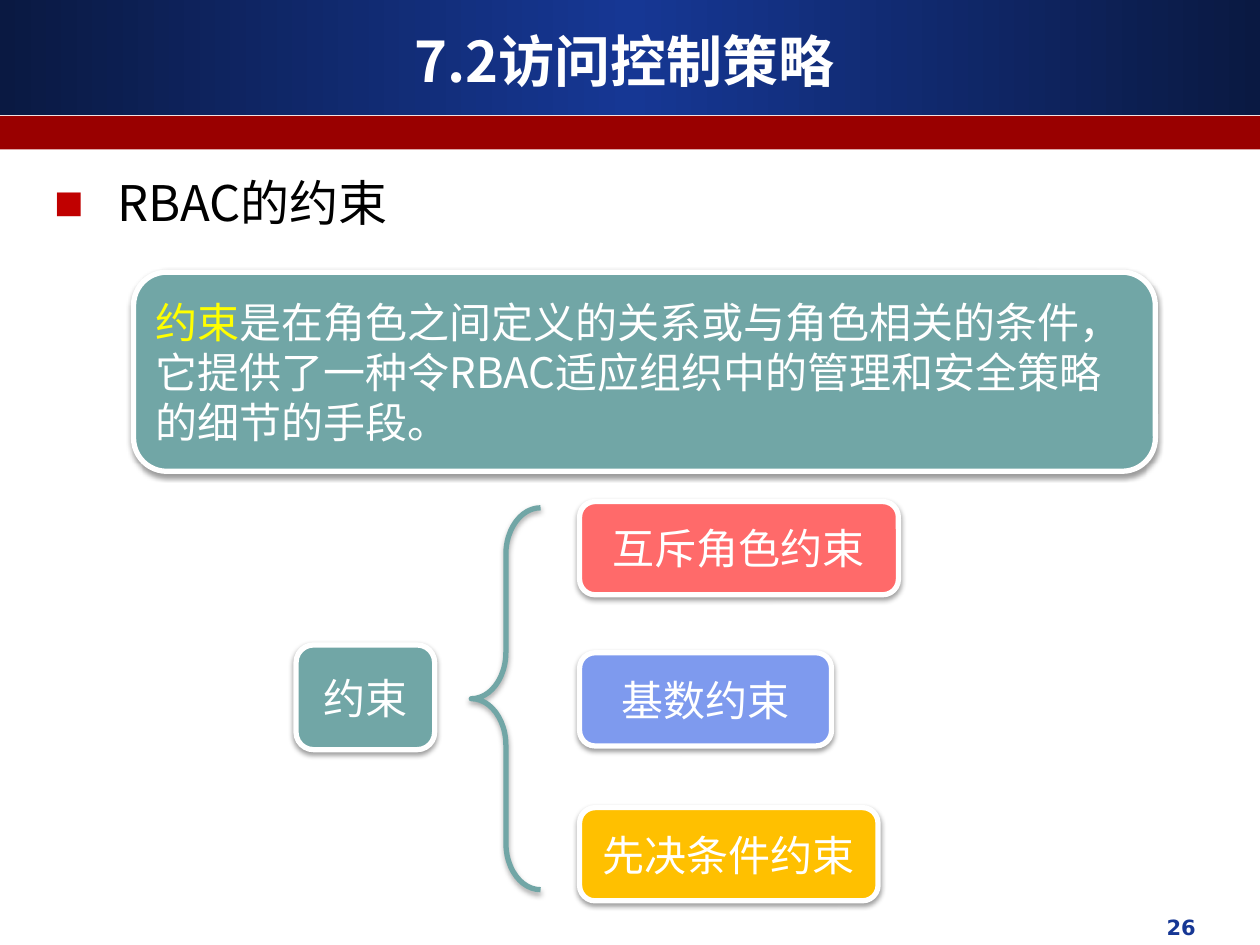
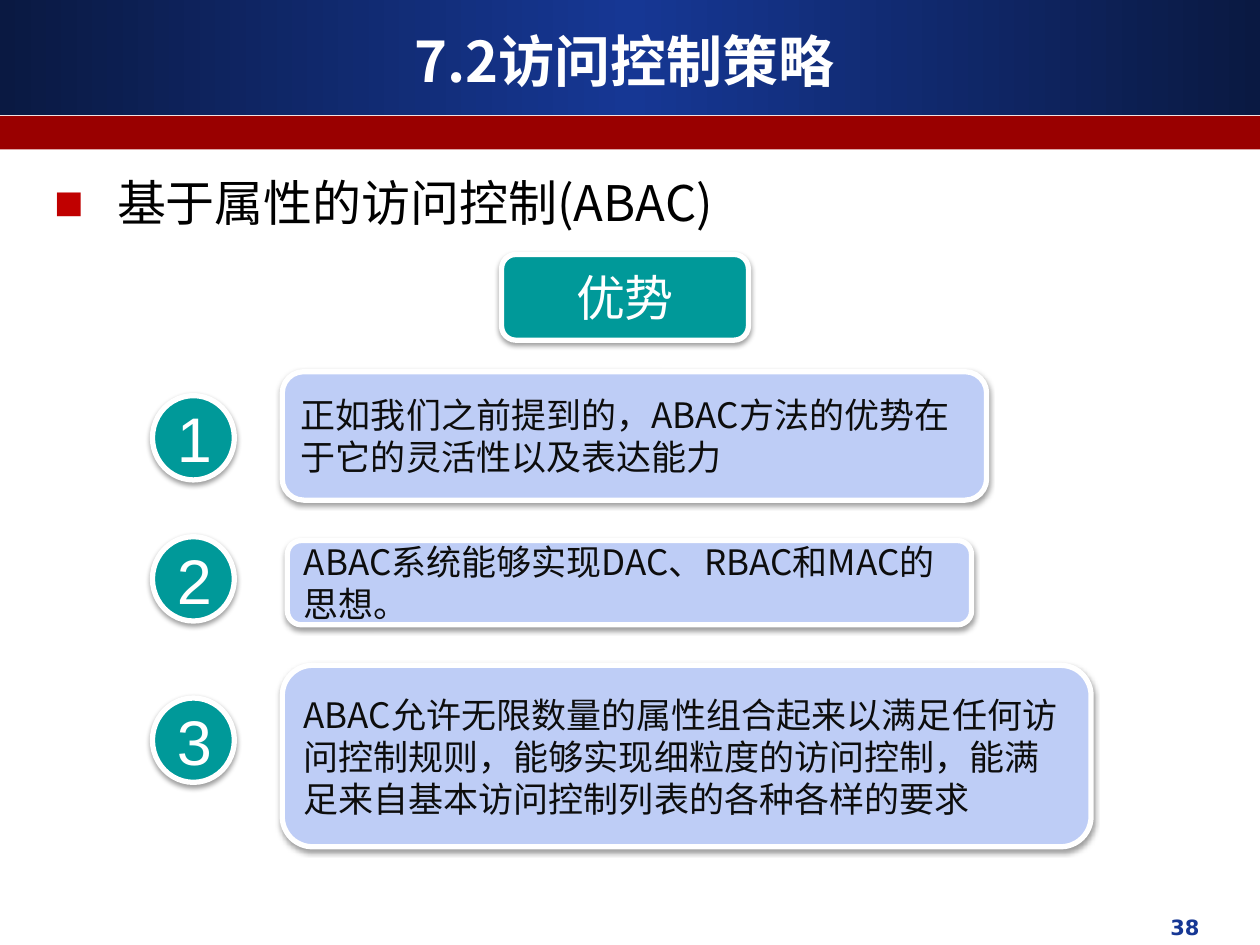
from copy import deepcopy
from dataclasses import dataclass

from lxml.etree import SubElement
from pptx import Presentation
from pptx.dml.color import RGBColor
from pptx.enum.shapes import MSO_SHAPE as Shape
from pptx.enum.text import MSO_ANCHOR as Anchor, PP_ALIGN as Align
from pptx.oxml.ns import qn
from pptx.util import Pt


@dataclass(frozen=True)
class Theme:
    cjk: str = "Noto Sans CJK SC"
    digits: str = "Arial"
    footer: str = "DejaVu Sans"
    navy: str = "163794"
    navy_edge: str = "0A1942"
    band: str = "990000"
    bullet: str = "C00000"
    white: str = "FFFFFF"
    black: str = "000000"
    ink: str = "0D0D0D"
    yellow: str = "FFFF00"
    sage: str = "71A6A6"
    coral: str = "FF6A6A"
    periwinkle: str = "7E9AEE"
    amber: str = "FFC000"
    teal: str = "009999"
    pale: str = "BECDF6"
    title_size: int = 32
    heading_size: int = 28
    box_size: int = 24
    point_size: int = 20
    number_size: int = 36
    page_size: int = 12
    outline: int = 3
    leading: float = 1.2
    heading_leading: int = 36


T = Theme()
SLIDE_W, SLIDE_H = 720, 540

TITLE = "7.2访问控制策略"

CONSTRAINTS = {
    "heading": "RBAC的约束",
    "page": ("26", 462.2),
    "term": "约束",
    "definition": "是在角色之间定义的关系或与角色相关的条件，"
                  "它提供了一种令RBAC适应组织中的管理和安全策略的细节的手段。",
    # text, fill, top, width
    "kinds": [
        ("互斥角色约束", T.coral, 286.6, 182.2),
        ("基数约束", T.periwinkle, 373, 144),
        ("先决条件约束", T.amber, 461.5, 170.6),
    ],
}

ADVANTAGES = {
    "heading": "基于属性的访问控制(ABAC)",
    "page": ("38", 464.4),
    "topic": "优势",
    # text, box (left, top, width, height), top of the number
    "points": [
        ("正如我们之前提到的，ABAC方法的优势在于它的灵活性以及表达能力",
         (161.3, 212.4, 402.5, 73.4), 226.1),
        ("ABAC系统能够实现DAC、RBAC和MAC的思想。",
         (164.2, 308.9, 391, 48.2), 306.7),
        ("ABAC允许无限数量的属性组合起来以满足任何访问控制规则，"
         "能够实现细粒度的访问控制，能满足来自基本访问控制列表的各种各样的要求",
         (161.3, 380.2, 462.2, 103.7), 398.9),
    ],
}


def rgb(color):
    return RGBColor.from_string(color)


def apply(target, formats):
    for attribute, value in formats.items():
        setattr(target, attribute, value)


def write(shape, runs, size, font=T.cjk, bold=False, align=Align.CENTER,
          anchor=Anchor.MIDDLE, leading=None):
    """Fill the shape with one paragraph of (text, colour) runs."""
    frame = shape.text_frame
    apply(frame, {"word_wrap": True, "vertical_anchor": anchor})
    paragraph = frame.paragraphs[0]
    paragraph.alignment = align
    if leading:
        paragraph.line_spacing = Pt(leading)
    for text, color in runs:
        run = paragraph.add_run()
        run.text = text
        apply(run.font, {"size": Pt(size), "bold": bold, "name": font})
        run.font.color.rgb = rgb(color)
        SubElement(run.font._element, qn("a:ea"), typeface=font)
    return paragraph


def add_shape(slide, kind, box, fill=None, line=None):
    shape = slide.shapes.add_shape(kind, *map(Pt, box))
    shape.shadow.inherit = False
    if fill:
        shape.fill.solid()
        shape.fill.fore_color.rgb = rgb(fill)
    else:
        shape.fill.background()
    if line:
        shape.line.color.rgb = rgb(line)
        shape.line.width = Pt(T.outline)
    else:
        shape.line.fill.background()
    return shape


def cast_shadow(shape, opacity=38, distance=1.6):
    effects = shape._element.spPr.find(qn("a:effectLst"))
    shadow = SubElement(effects, qn("a:outerShdw"), blurRad=str(Pt(3.1)),
                        dist=str(Pt(distance)), dir="5400000", rotWithShape="0")
    color = SubElement(shadow, qn("a:srgbClr"), val=T.black)
    SubElement(color, qn("a:alpha"), val=str(opacity * 1000))


def add_card(slide, box, fill, runs, size, kind=Shape.ROUNDED_RECTANGLE, **style):
    card = add_shape(slide, kind, box, fill, T.white)
    cast_shadow(card)
    write(card, runs, size, **style)


def add_text(slide, box, text, color, size, **style):
    label = slide.shapes.add_textbox(*map(Pt, box))
    return write(label, [(text, color)], size, **style)


def shade_header(header):
    """Run the fill from dark edges to a lighter middle."""
    header.fill.gradient()
    header.fill.gradient_angle = 0
    stops = header._element.spPr.find(qn("a:gradFill")).find(qn("a:gsLst"))
    stops.append(deepcopy(stops[0]))
    colors = (T.navy_edge, T.navy, T.navy_edge)
    for stop, place, color in zip(stops, (0, 50, 100), colors):
        stop.set("pos", str(place * 1000))
        for old in list(stop):
            stop.remove(old)
        SubElement(stop, qn("a:srgbClr"), val=color)


def add_bullet(paragraph):
    properties = paragraph._p.get_or_add_pPr()
    apply_indent = {"marL": Pt(36), "indent": Pt(-36)}
    for name, value in apply_indent.items():
        properties.set(name, str(value))
    color = SubElement(properties, qn("a:buClr"))
    SubElement(color, qn("a:srgbClr"), val=T.bullet)
    SubElement(properties, qn("a:buFont"), typeface=T.digits)
    SubElement(properties, qn("a:buChar"), char="■")


def start_slide(deck, content):
    """Add a slide with the header, heading and page number all slides share."""
    slide = deck.slides.add_slide(deck.slide_layouts[6])
    shade_header(add_shape(slide, Shape.RECTANGLE, (0, 0, SLIDE_W, 65.5), T.navy))
    add_shape(slide, Shape.RECTANGLE, (0, 66.2, SLIDE_W, 19.2), T.band)
    add_text(slide, (23.8, 12.2, 666, 44.6), TITLE, T.white, T.title_size, bold=True)
    add_bullet(add_text(slide, (23.8, 92.9, 649.4, 41), content["heading"], T.black,
                        T.heading_size, align=Align.LEFT, anchor=Anchor.TOP,
                        leading=T.heading_leading))
    page, left = content["page"]
    add_text(slide, (left, 519.1, 228.2, 25.2), page, T.navy, T.page_size,
             font=T.footer, bold=True, align=Align.RIGHT, anchor=Anchor.TOP)
    return slide


def build_constraints(deck):
    slide = start_slide(deck, CONSTRAINTS)
    term = CONSTRAINTS["term"]
    add_card(slide, (76.3, 155.5, 583.9, 113.8), T.sage,
             [(term, T.yellow), (CONSTRAINTS["definition"], T.white)], T.box_size,
             align=Align.LEFT, leading=T.box_size * T.leading)
    add_card(slide, (169.2, 368.6, 79.2, 59.8), T.sage, [(term, T.white)], T.box_size)
    brace = add_shape(slide, Shape.LEFT_BRACE, (269.3, 290.2, 39.6, 218.2), line=T.sage)
    brace.adjustments[0] = 0.67
    cast_shadow(brace, opacity=35, distance=1.8)
    for text, fill, top, width in CONSTRAINTS["kinds"]:
        add_card(slide, (331.2, top, width, 53.3), fill, [(text, T.white)], T.box_size)


def build_advantages(deck):
    slide = start_slide(deck, ADVANTAGES)
    add_card(slide, (286.6, 145.4, 141.1, 49), T.teal,
             [(ADVANTAGES["topic"], T.white)], T.heading_size)
    for number, (text, box, number_top) in enumerate(ADVANTAGES["points"], 1):
        add_card(slide, box, T.pale, [(text, T.ink)], T.point_size,
                 align=Align.LEFT, leading=T.point_size * T.leading)
        add_card(slide, (87.1, number_top, 46.8, 48.2), T.teal,
                 [(str(number), T.white)], T.number_size, kind=Shape.OVAL,
                 font=T.digits)


def main():
    deck = Presentation()
    apply(deck, {"slide_width": Pt(SLIDE_W), "slide_height": Pt(SLIDE_H)})
    build_constraints(deck)
    build_advantages(deck)
    deck.save("out.pptx")


if __name__ == "__main__":
    main()
